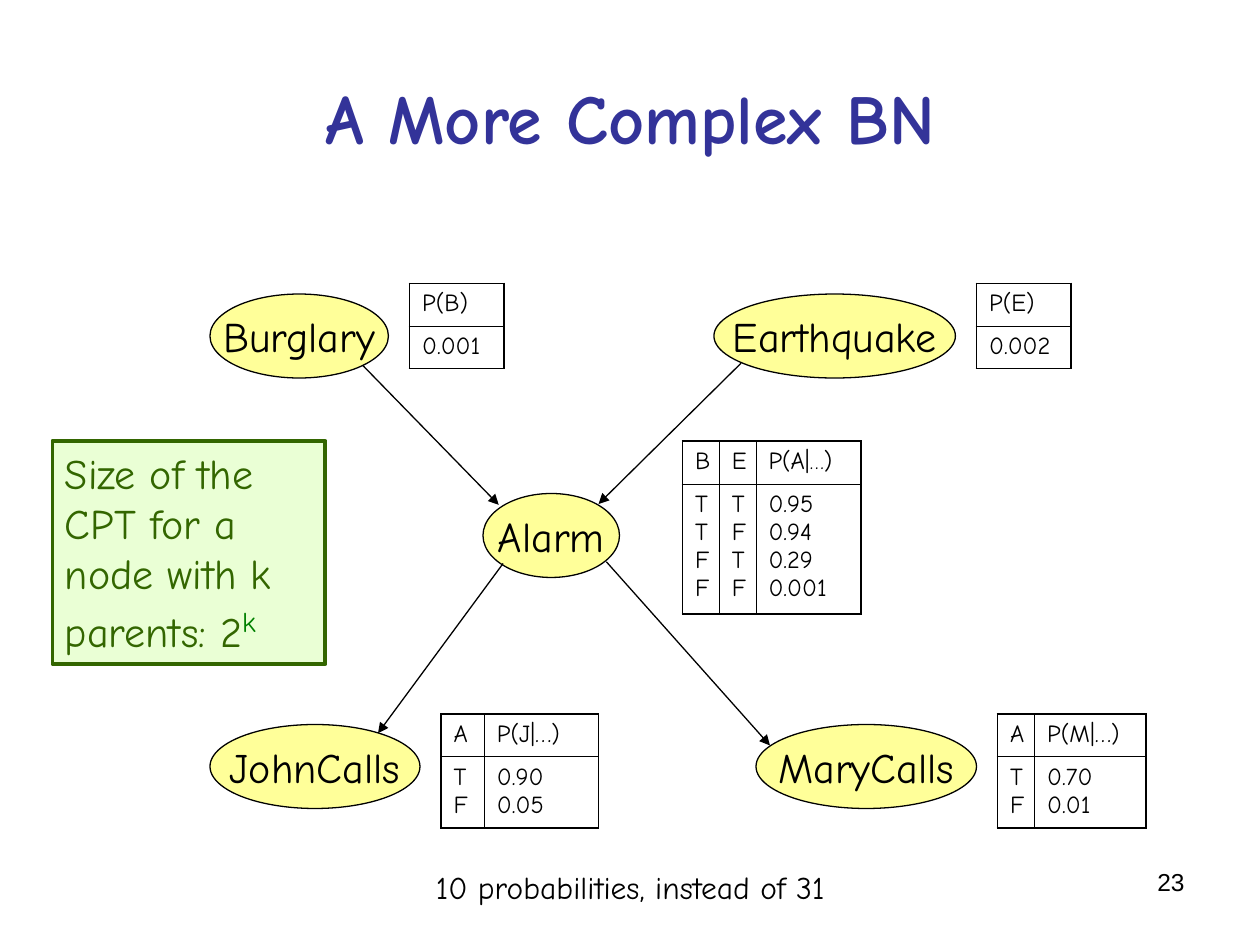
from lxml import etree
from pptx import Presentation
from pptx.dml.color import RGBColor
from pptx.enum.shapes import MSO_CONNECTOR, MSO_SHAPE
from pptx.enum.text import MSO_ANCHOR, PP_ALIGN
from pptx.oxml.ns import qn
from pptx.util import Pt

OVAL, RECTANGLE = MSO_SHAPE.OVAL, MSO_SHAPE.RECTANGLE
STRAIGHT = MSO_CONNECTOR.STRAIGHT
LEFT, CENTER, RIGHT = PP_ALIGN.LEFT, PP_ALIGN.CENTER, PP_ALIGN.RIGHT
TOP, MIDDLE = MSO_ANCHOR.TOP, MSO_ANCHOR.MIDDLE

BLACK = RGBColor(0x00, 0x00, 0x00)
TITLE_BLUE = RGBColor(0x33, 0x33, 0x99)
NODE_YELLOW = RGBColor(0xFF, 0xFF, 0x99)
NOTE_FILL = RGBColor(0xEA, 0xFF, 0xD5)
NOTE_GREEN = RGBColor(0x33, 0x66, 0x00)
EXPONENT_GREEN = RGBColor(0x00, 0x80, 0x00)

FONT = "Comic Neue"
OUTER_BORDER, INNER_BORDER = 1.08, 0.45
HEADER_HEIGHT = 24.5
NODE_HEIGHT = 48

# Network nodes: name, left, top, width
NODES = [
    ("Burglary", 120, 168, 102),
    ("Earthquake", 408, 168, 138),
    ("Alarm", 276, 282, 78),
    ("MaryCalls", 432, 414, 126),
    ("JohnCalls", 120, 414, 120),
]

# Arrows between nodes: start, end
ARROWS = [
    ((207.5, 209), (285, 288.5)),
    ((423.5, 207.5), (342, 288)),
    ((287.5, 322), (216, 419)),
    ((346.5, 321), (440, 426)),
]

# Probability tables: left, top, column widths, body height, header, body
# The truth-value columns are one letter wide, so their text wraps at each letter
TABLES = [
    (234, 162, [54], 24, ["P(B)"], ["0.001"]),
    (558, 162, [54], 24, ["P(E)"], ["0.002"]),
    (390, 252, [21, 21, 60], 74.5,
     ["B", "E", [("P(A|", 14), ("…", 12), (")", 14)]],
     ["TTFF", "TFTF", "0.95\n0.94\n0.29\n0.001"]),
    (252, 408, [24.75, 65.25], 40.5, ["A", "P(J|…)"], ["TF", "0.90\n0.05"]),
    (570, 408, [21.25, 63.75], 40.5, ["A", "P(M|…)"], ["TF", "0.70\n0.01"]),
]


def add_run(paragraph, text, size, color=BLACK, font=FONT, bold=False):
    """Add text in one style, with a line break at each newline."""
    for index, line in enumerate(text.split("\n")):
        if index:
            paragraph.add_line_break()
        run = paragraph.add_run()
        run.text = line
        run.font.size = Pt(size)
        run.font.name = font
        run.font.bold = bold
        run.font.color.rgb = color
    return run


def add_text(slide, box, text, size, align=LEFT, anchor=TOP, wrap=True, **style):
    shape = slide.shapes.add_textbox(*map(Pt, box))
    frame = shape.text_frame
    frame.word_wrap = wrap
    frame.vertical_anchor = anchor
    paragraph = frame.paragraphs[0]
    paragraph.alignment = align
    add_run(paragraph, text, size, **style)


def add_filled_shape(slide, kind, box, fill, line, line_width, align, anchor, wrap):
    """Add an outlined shape and return its empty paragraph."""
    shape = slide.shapes.add_shape(kind, *map(Pt, box))
    shape.shadow.inherit = False
    shape.fill.solid()
    shape.fill.fore_color.rgb = fill
    shape.line.color.rgb = line
    shape.line.width = Pt(line_width)
    frame = shape.text_frame
    frame.word_wrap = wrap
    frame.vertical_anchor = anchor
    paragraph = frame.paragraphs[0]
    paragraph.alignment = align
    return paragraph


def add_node(slide, name, left, top, width):
    paragraph = add_filled_shape(slide, OVAL, (left, top, width, NODE_HEIGHT),
                                 NODE_YELLOW, BLACK, 0.75, CENTER, MIDDLE, False)
    add_run(paragraph, name, 24)


def add_arrow(slide, start, end):
    arrow = slide.shapes.add_connector(STRAIGHT, *map(Pt, start + end))
    arrow.line.color.rgb = BLACK
    arrow.line.width = Pt(0.75)
    etree.SubElement(arrow.line._get_or_add_ln(), qn("a:tailEnd"), type="triangle")
    etree.SubElement(arrow._element.spPr, qn("a:effectLst"))


def set_borders(cell, widths):
    properties = cell._tc.get_or_add_tcPr()
    for side, width in widths.items():
        line = etree.SubElement(properties, qn(f"a:ln{side}"), w=str(Pt(width)))
        fill = etree.SubElement(line, qn("a:solidFill"))
        etree.SubElement(fill, qn("a:srgbClr"), val=str(BLACK))


def add_probability_table(slide, left, top, widths, body_height, header, body):
    heights = [HEADER_HEIGHT, body_height]
    table = slide.shapes.add_table(2, len(widths), Pt(left), Pt(top),
                                   Pt(sum(widths)), Pt(sum(heights))).table
    table.first_row = table.horz_banding = False
    for column, width in zip(table.columns, widths):
        column.width = Pt(width)
    last = len(widths) - 1
    for row_index, contents in enumerate([header, body]):
        table.rows[row_index].height = Pt(heights[row_index])
        for column_index, content in enumerate(contents):
            cell = table.cell(row_index, column_index)
            # Heavy lines around the table, fine lines within it
            on_edge = {"L": column_index == 0, "R": column_index == last,
                       "T": row_index == 0, "B": row_index == 1}
            set_borders(cell, {side: OUTER_BORDER if outer else INNER_BORDER
                               for side, outer in on_edge.items()})
            cell.fill.background()
            runs = [(content, 14)] if isinstance(content, str) else content
            for text, size in runs:
                add_run(cell.text_frame.paragraphs[0], text, size)


def add_size_note(slide):
    paragraph = add_filled_shape(slide, RECTANGLE, (30, 252, 156, 127.5),
                                 NOTE_FILL, NOTE_GREEN, 2.25, LEFT, TOP, True)
    add_run(paragraph, "Size of the CPT for a \nnode with k parents: 2", 24, NOTE_GREEN)
    exponent = add_run(paragraph, "k", 28, EXPONENT_GREEN)
    exponent.font._element.set("baseline", "30000")


def main():
    presentation = Presentation()
    presentation.slide_width, presentation.slide_height = Pt(720), Pt(540)
    slide = presentation.slides.add_slide(presentation.slide_layouts[6])

    # Title
    add_text(slide, (36, 21.5, 648, 90), "A More Complex BN", 40, CENTER, MIDDLE,
             color=TITLE_BLUE, bold=True)

    # Bayesian network
    for node in NODES:
        add_node(slide, *node)
    for start, end in ARROWS:
        add_arrow(slide, start, end)
    for table in TABLES:
        add_probability_table(slide, *table)

    # Note, caption and slide number
    add_size_note(slide)
    add_text(slide, (242, 492.5, 237.5, 29), "10 probabilities, instead of 31", 18,
             wrap=False)
    add_text(slide, (516, 492, 168, 37.5), "23", 14, RIGHT, font="Arial")

    presentation.save("out.pptx")


if __name__ == "__main__":
    main()
